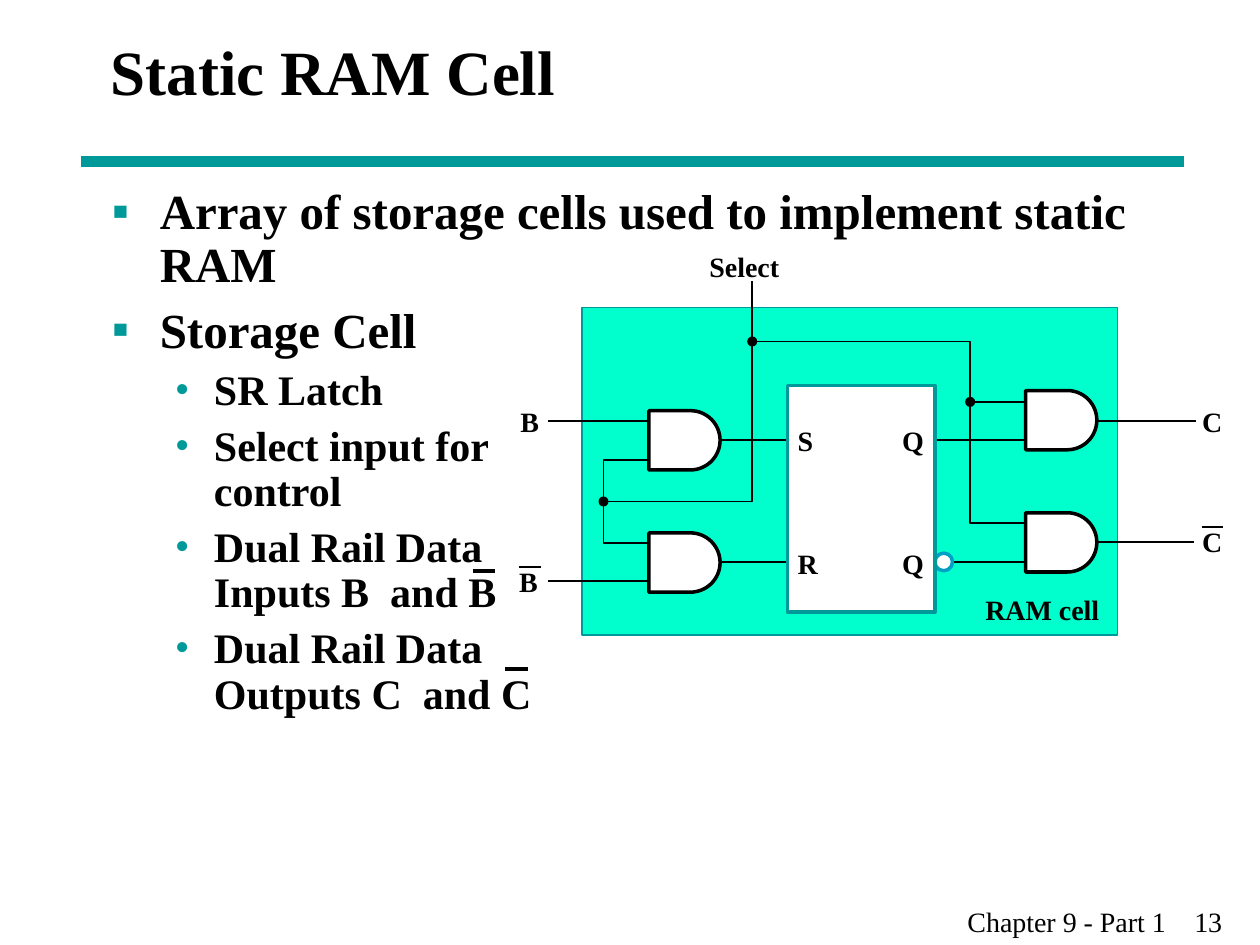
import math
from typing import NamedTuple

import pptx
import pptx.dml.color
import pptx.enum.shapes
import pptx.enum.text
import pptx.oxml
import pptx.oxml.ns
import pptx.util
from lxml import etree

PX = 9144  # EMU in one px, 100 px to the inch
FONT = "Times New Roman"
HUE = {"ink": "000000", "teal": "009999", "mint": "00FFCC", "blue": "00A0C6", "white": "FFFFFF"}
KIND = pptx.enum.shapes.MSO_SHAPE
ANCHOR = pptx.enum.text.MSO_ANCHOR
ALIGN = pptx.enum.text.PP_ALIGN
FIT = pptx.enum.text.MSO_AUTO_SIZE


class Label(NamedTuple):
    text: str
    x: int
    y: int
    w: int


class Wire(NamedTuple):
    points: list[tuple[int, int]]
    hue: str = "ink"
    pt: float = 1


class Block(NamedTuple):
    kind: int
    x: int
    y: int
    w: int
    h: int
    fill: str
    line: str = ""
    pt: float = 1


class Item(NamedTuple):
    text: str
    level: int = 0


class Level(NamedTuple):
    mark: str
    size: int
    before: int
    left: int
    hang: int


LEVELS = [Level("▪", 28, 7, 38, 38), Level("•", 24, 6, 81, 31)]
ITEMS = [
    Item("Array of storage cells used to implement static RAM"),
    Item("Storage Cell"),
    Item("SR Latch", 1),
    Item("Select input for\vcontrol", 1),
    Item("Dual Rail Data\vInputs B  and B", 1),
    Item("Dual Rail Data\vOutputs C  and C", 1),
]
LABELS = [
    Label("Select", 563, 198, 58), Label("RAM cell", 782, 470, 93),
    Label("B", 413, 321, 17), Label("B", 412, 448, 17),
    Label("C", 954, 321, 18), Label("C", 954, 416, 18),
    Label("S", 633, 336, 14), Label("R", 633, 434, 18),
    Label("Q", 716, 336, 19), Label("Q", 716, 434, 19),
]
BARS = [
    Wire([(64, 128), (940, 128)], "teal", 6),
    Wire([(375, 453), (393, 453)], pt=2.25),
    Wire([(401, 531), (419, 531)], pt=2.25),
    Wire([(954, 418), (971, 418)]),
    Wire([(412, 450), (429, 450)]),
]
WIRES = [
    Wire([(871, 334), (949, 334)]), Wire([(870, 430), (948, 430)]),
    Wire([(571, 349), (625, 349)]), Wire([(571, 446), (625, 446)]),
    Wire([(742, 349), (814, 349)]), Wire([(749, 446), (814, 446)]),
    Wire([(515, 334), (435, 334)]), Wire([(515, 461), (435, 461)]),
    Wire([(815, 319), (770, 319)]),
    Wire([(515, 365), (479, 365), (479, 431), (515, 431)]),
    Wire([(479, 398), (597, 398), (597, 223)]),
    Wire([(597, 271), (770, 271), (770, 415), (814, 415)]),
]
GATES = [(814, 310), (515, 326), (515, 423), (814, 407)]
NODES = [(597, 271), (770, 319), (479, 398)]
CELL = Block(KIND.RECTANGLE, 462, 244, 425, 260, "mint", "teal", 0.75)
PARTS = [
    Block(KIND.OVAL, 742, 439, 14, 14, "white", "blue", 2),
    Block(KIND.RECTANGLE, 625, 306, 117, 180, "white", "teal", 2),
] + [Block(KIND.OVAL, x - 4, y - 4, 8, 8, "ink") for x, y in NODES]


def tint(name: str) -> pptx.dml.color.RGBColor:
    return pptx.dml.color.RGBColor.from_string(HUE[name])


def place(shape, x: int, y: int, w: int, h: int) -> None:
    shape.left, shape.top, shape.width, shape.height = (v * PX for v in (x, y, w, h))


def write(para, text: str, *, size: int, bold: bool = True, align=ALIGN.LEFT) -> None:
    para.text = text
    para.alignment = align
    for run in para.runs:
        font = run.font
        font.name, font.size, font.bold = FONT, pptx.util.Pt(size), bold
        font.color.rgb = tint("ink")


def child(node, tag: str, **attrs: str):
    return etree.SubElement(node, pptx.oxml.ns.qn("a:" + tag), attrs)


def paint(shape, fill: str, line: str, pt: float) -> None:
    """Fill and outline a shape; an empty name means none."""
    shape.shadow.inherit = False
    for part, name in ((shape.fill, fill), (shape.line.fill, line)):
        if name:
            part.solid()
            part.fore_color.rgb = tint(name)
        else:
            part.background()
    if line:
        shape.line.width = pptx.util.Pt(pt)


def box(shapes, x: int, y: int, w: int, h: int):
    shape = shapes.add_textbox(0, 0, 0, 0)
    place(shape, x, y, w, h)
    shape.text_frame.word_wrap = True
    return shape.text_frame


def trace(shapes, points: list[tuple[float, float]], close: bool):
    (x, y), *rest = [(round(a * PX), round(b * PX)) for a, b in points]
    pen = shapes.build_freeform(x, y, 1.0)
    pen.add_line_segments(rest, close=close)
    return pen.convert_to_shape()


def wire(shapes, item: Wire) -> None:
    if len(item.points) > 2:
        paint(trace(shapes, item.points, False), "", item.hue, item.pt)
        return
    ends = [v * PX for point in item.points for v in point]
    line = shapes.add_connector(pptx.enum.shapes.MSO_CONNECTOR.STRAIGHT, *ends)
    line.line.color.rgb = tint(item.hue)
    line.line.width = pptx.util.Pt(item.pt)
    child(line._element.spPr, "effectLst")


def gate(shapes, x: int, y: int) -> None:
    """Draw an AND gate: a flat left side and a round right side."""
    r, steps = 23.5, 32
    turns = [math.pi * (i / steps - 0.5) for i in range(steps + 1)]
    arc = [(x + 33 + r * math.cos(t), y + r + r * math.sin(t)) for t in turns]
    paint(trace(shapes, [(x, y), *arc, (x, y + 2 * r)], True), "white", "ink", 2)


def block(shapes, item: Block) -> None:
    shape = shapes.add_shape(item.kind, 0, 0, 0, 0)
    place(shape, item.x, item.y, item.w, item.h)
    paint(shape, item.fill, item.line, item.pt)


def label(shapes, item: Label) -> None:
    frame = box(shapes, item.x, item.y, item.w, 27)
    frame.margin_left = frame.margin_right = frame.margin_top = frame.margin_bottom = 0
    frame.word_wrap = False
    frame.auto_size = FIT.SHAPE_TO_FIT_TEXT
    write(frame.paragraphs[0], item.text, size=16)


def bullets(shapes) -> None:
    frame = box(shapes, 79, 144, 850, 550)
    for i, item in enumerate(ITEMS):
        para = frame.add_paragraph() if i else frame.paragraphs[0]
        level = LEVELS[item.level]
        write(para, item.text, size=level.size)
        para.level = item.level
        para.line_spacing = 0.9
        para.space_before = pptx.util.Pt(level.before)
        props = para._p.get_or_add_pPr()
        props.set("marL", str(level.left * PX))
        props.set("indent", str(-level.hang * PX))
        child(child(props, "buClr"), "srgbClr", val=HUE["teal"])
        child(props, "buFont", typeface=FONT)
        child(props, "buChar", char=level.mark)


def footer(shapes) -> None:
    para = box(shapes, 758, 713, 242, 37).paragraphs[0]
    write(para, "Chapter 9 - Part 1\t13", size=16, bold=False)
    tabs = child(para._p.get_or_add_pPr(), "tabLst")
    child(tabs, "tab", pos=str(180 * PX), algn="l")


def main() -> None:
    deck = pptx.Presentation()
    deck.slide_width, deck.slide_height = 1000 * PX, 750 * PX
    shapes = deck.slides.add_slide(deck.slide_layouts[5]).shapes
    title = shapes.title
    place(title, 78, 0, 850, 112)
    title.text_frame.vertical_anchor = ANCHOR.MIDDLE
    write(title.text_frame.paragraphs[0], "Static RAM Cell", size=36)
    footer(shapes)
    bullets(shapes)
    block(shapes, CELL)
    for item in BARS + WIRES:
        wire(shapes, item)
    for x, y in GATES:
        gate(shapes, x, y)
    for item in PARTS:
        block(shapes, item)
    for item in LABELS:
        label(shapes, item)
    deck.save("out.pptx")


if __name__ == "__main__":
    main()
